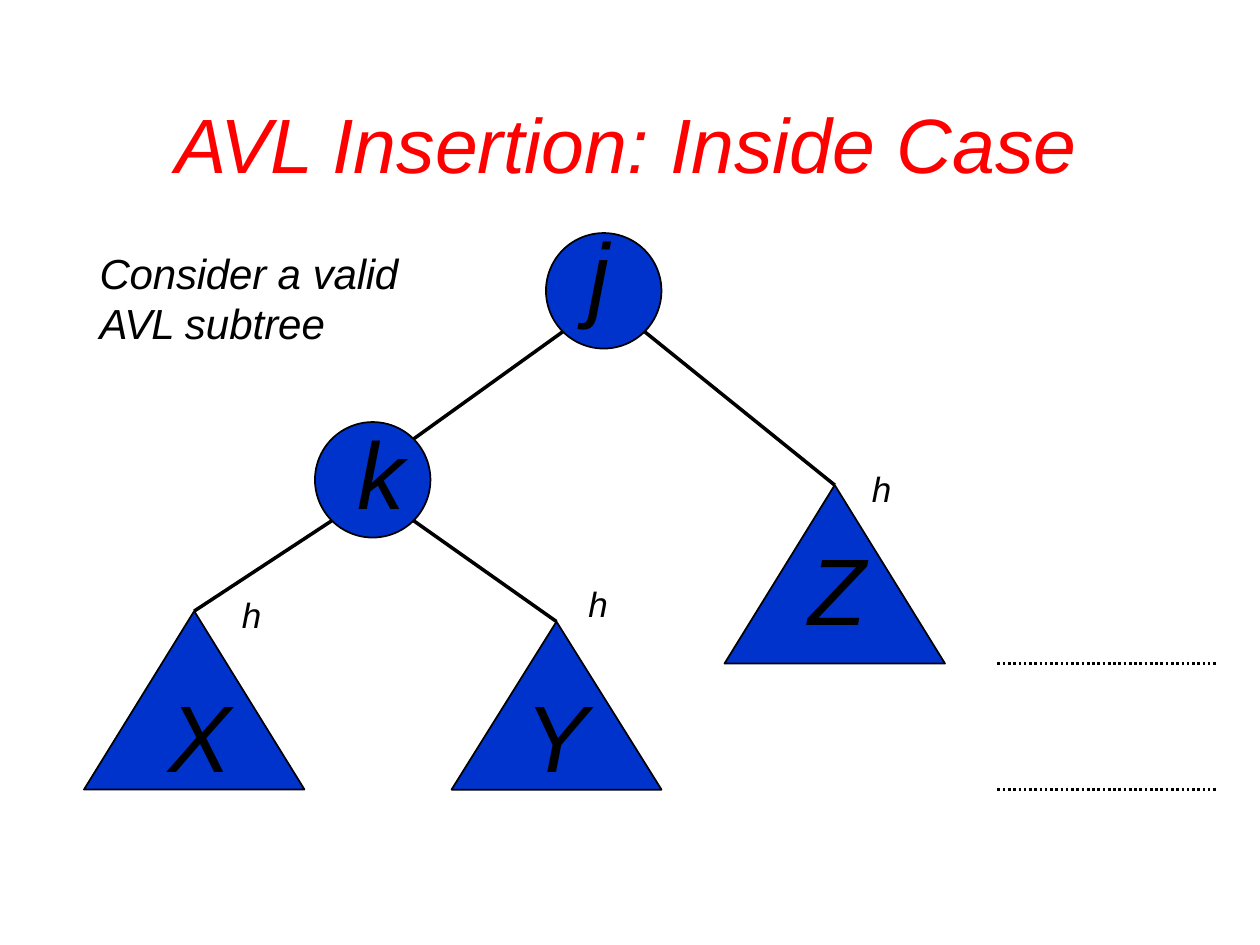
from math import sqrt

from lxml.etree import SubElement
from pptx import Presentation
from pptx.dml.color import RGBColor
from pptx.enum.dml import MSO_LINE
from pptx.enum.shapes import MSO_CONNECTOR, MSO_SHAPE
from pptx.oxml.ns import qn
from pptx.util import Pt

THEME = {
    "font": "Arial",
    "fill": RGBColor(0x00, 0x33, 0xCC),
    "ink": RGBColor(0x00, 0x00, 0x00),
    "title": RGBColor(0xFF, 0x00, 0x00),
    "title_size": 44, "node_size": 54, "note_size": 24, "height_size": 20,
}

# Paragraphs are lists of (text, letter spacing in points).
TITLE = [[("AVL ", -0.8), ("Insertion: Inside Case", 0)]]
NOTE = [[("Consider ", -0.1), ("a ", 0), ("valid", -0.1)],
        [("AVL ", -0.5), ("subtree", 0)]]

RADIUS = 33
NODES = {"j": (345, 166.2), "k": (213, 274.2)}  # centres
SUBTREES = {  # left, top, width, height
    "X": (48, 349.2, 126, 102),
    "Y": (258, 355.2, 120, 96),
    "Z": (414, 277.2, 126, 102),
}
EDGES = [("j", "k"), ("j", "Z"), ("k", "X"), ("k", "Y")]
NAME_BOXES = {  # left, top, width
    "j": (336.2, 122.4, 13.7), "k": (204.5, 236.2, 28.8),
    "X": (96.5, 386.6, 38.2), "Y": (300.2, 386.6, 38.2),
    "Z": (462.2, 302.4, 35.3),
}
HEIGHT_LABELS = [(498.2, 266.4), (336.2, 331.9), (138.2, 338.4)]
LEVELS_X = (570, 696)
LEVELS_Y = (379.2, 451.2)


def add_shape(s, kind, left, top, width, height):
    sp = s.shapes.add_shape(kind, Pt(left), Pt(top), Pt(width), Pt(height))
    sp.shadow.inherit = False
    sp.fill.solid()
    sp.fill.fore_color.rgb = THEME["fill"]
    sp.line.color.rgb = THEME["ink"]
    sp.line.width = Pt(1)


def add_line(s, start, end, width, dash=None):
    line = s.shapes.add_connector(
        MSO_CONNECTOR.STRAIGHT, *(Pt(v) for v in (*start, *end)))
    line.line.color.rgb = THEME["ink"]
    line.line.width = Pt(width)
    if dash:
        line.line.dash_style = dash
    SubElement(line._element.spPr, qn("a:effectLst"))


def add_text(s, paragraphs, left, top, width, height, size, color="ink"):
    tf = s.shapes.add_textbox(Pt(left), Pt(top), Pt(width), Pt(height)).text_frame
    tf.word_wrap = False
    tf.margin_left = tf.margin_right = tf.margin_bottom = 0
    tf.margin_top = Pt(1)
    for i, runs in enumerate(paragraphs):
        p = tf.add_paragraph() if i else tf.paragraphs[0]
        for text, spacing in runs:
            r = p.add_run()
            r.text = text
            r.font.name = THEME["font"]
            r.font.size = Pt(THEME[size])
            r.font.italic = True
            r.font.color.rgb = THEME[color]
            if spacing:
                r._r.get_or_add_rPr().set("spc", str(round(spacing * 100)))


def edge_ends(parent, child):
    """Leave the parent circle at 45 degrees; meet a circle at 45 degrees or an apex."""
    reach = RADIUS / sqrt(2)
    px, py = NODES[parent]
    if child in NODES:
        cx, cy = NODES[child]
    else:
        left, cy, width, _ = SUBTREES[child]
        cx = left + width / 2
    side = 1 if cx > px else -1
    start = (px + side * reach, py + reach)
    if child in NODES:
        return start, (cx - side * reach, cy - reach)
    return start, (cx, cy)


def main():
    prs = Presentation()
    prs.slide_width, prs.slide_height = Pt(720), Pt(540)
    s = prs.slides.add_slide(prs.slide_layouts[6])

    add_text(s, TITLE, 100.1, 54, 519.8, 54.7, "title_size", "title")
    add_text(s, NOTE, 56.9, 140.4, 174.2, 59.8, "note_size")

    for x, y in NODES.values():
        add_shape(s, MSO_SHAPE.OVAL, x - RADIUS, y - RADIUS, 2 * RADIUS, 2 * RADIUS)
    for box in SUBTREES.values():
        add_shape(s, MSO_SHAPE.ISOSCELES_TRIANGLE, *box)
    for parent, child in EDGES:
        add_line(s, *edge_ends(parent, child), 2)
    for y in LEVELS_Y:
        add_line(s, (LEVELS_X[0], y), (LEVELS_X[1], y), 1.5, MSO_LINE.ROUND_DOT)

    for name, (left, top, width) in NAME_BOXES.items():
        add_text(s, [[(name, 0)]], left, top, width, 67, "node_size")
    for left, top in HEIGHT_LABELS:
        add_text(s, [[("h", 0)]], left, top, 13, 25.9, "height_size")

    prs.save("out.pptx")


if __name__ == "__main__":
    main()
